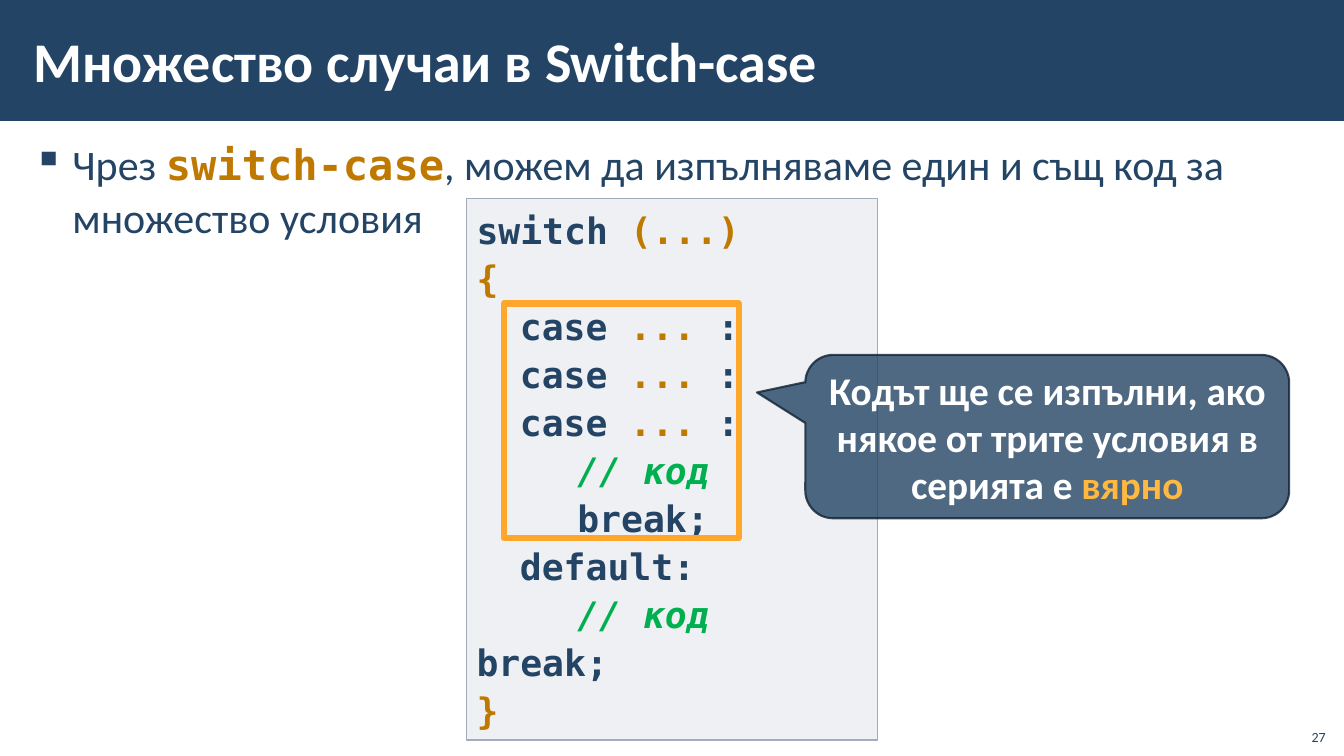
from dataclasses import dataclass
from typing import Optional

from lxml.etree import SubElement
from pptx import Presentation
from pptx.dml.color import RGBColor
from pptx.enum.shapes import MSO_SHAPE as Shape
from pptx.enum.text import MSO_ANCHOR as Anchor, PP_ALIGN as Align
from pptx.oxml.ns import qn
from pptx.util import Inches, Pt

NAVY = RGBColor(0x23, 0x44, 0x65)
DARK_NAVY = RGBColor(0x11, 0x22, 0x33)
WHITE = RGBColor(0xFF, 0xFF, 0xFF)
BROWN = RGBColor(0xBF, 0x78, 0x00)
GREEN = RGBColor(0x00, 0xB0, 0x50)
ORANGE = RGBColor(0xFF, 0xA7, 0x2A)
AMBER = RGBColor(0xFF, 0xB8, 0x40)
CODE_FILL = RGBColor(0xC2, 0xC7, 0xD2)
CODE_LINE = RGBColor(0xA3, 0xAB, 0xBC)
SANS, MONO = "Calibri", "DejaVu Sans Mono"

COLS, ROWS = 64, 36
TAB = 1.0          # inches, one full code indent
HALF_TAB = 0.43    # inches, two monospaced characters


@dataclass
class Box:
    """Place on the grid, in columns and rows."""
    col: float
    row: float
    cols: float
    rows: float


@dataclass
class Run:
    text: str
    color: RGBColor
    font: str = SANS
    bold: bool = True
    italic: bool = False


@dataclass
class Panel:
    box: Box
    kind: Shape = Shape.RECTANGLE
    fill: Optional[RGBColor] = None
    fill_alpha: int = 100
    line: Optional[RGBColor] = None
    line_width: float = 1
    line_alpha: int = 100


@dataclass
class CodeLine:
    runs: list[Run]
    indent: float = 0


prs = Presentation()
prs.slide_width, prs.slide_height = Inches(13.33), Inches(7.5)
s = prs.slides.add_slide(prs.slide_layouts[6])


def place(b: Box) -> tuple[int, int, int, int]:
    cw, rh = prs.slide_width / COLS, prs.slide_height / ROWS
    return int(b.col * cw), int(b.row * rh), int(b.cols * cw), int(b.rows * rh)


def set_alpha(fill_parent, percent: int) -> None:
    color = fill_parent.find(qn("a:solidFill"))[0]
    SubElement(color, qn("a:alpha"), val=str(percent * 1000))


def add_panel(panel: Panel):
    sp = s.shapes.add_shape(panel.kind, *place(panel.box))
    sp.shadow.inherit = False
    if panel.fill is None:
        sp.fill.background()
    else:
        sp.fill.solid()
        sp.fill.fore_color.rgb = panel.fill
        if panel.fill_alpha < 100:
            set_alpha(sp.element.spPr, panel.fill_alpha)
    if panel.line is None:
        sp.line.fill.background()
    else:
        sp.line.color.rgb = panel.line
        sp.line.width = Pt(panel.line_width)
        if panel.line_alpha < 100:
            set_alpha(sp.element.spPr.find(qn("a:ln")), panel.line_alpha)
    return sp


def setup_frame(sp, anchor: Anchor, inset: tuple[float, float] = (0.1, 0.05)):
    tf = sp.text_frame
    tf.word_wrap = True
    tf.vertical_anchor = anchor
    tf.margin_left = tf.margin_right = Inches(inset[0])
    tf.margin_top = tf.margin_bottom = Inches(inset[1])
    return tf


def fill_paragraph(p, runs: list[Run], size: float, align: Align = Align.LEFT) -> None:
    p.alignment = align
    p.font.size = Pt(size)
    for run in runs:
        for i, part in enumerate(run.text.split("\n")):
            if i:
                p.add_line_break()
            r = p.add_run()
            r.text = part
            r.font.name, r.font.size = run.font, Pt(size)
            r.font.bold, r.font.italic = run.bold, run.italic
            r.font.color.rgb = run.color


def add_text(box: Box, runs: list[Run], size: float, anchor: Anchor,
             align: Align = Align.LEFT, inset: tuple[float, float] = (0.1, 0.05)):
    tf = setup_frame(s.shapes.add_textbox(*place(box)), anchor, inset)
    fill_paragraph(tf.paragraphs[0], runs, size, align)
    return tf.paragraphs[0]


def code(text: str, color: RGBColor = NAVY, italic: bool = False) -> Run:
    return Run(text, color, MONO, italic=italic)


# Header band
add_panel(Panel(Box(0, 0, COLS, 5.76), fill=NAVY))

# Bulleted statement
p = add_text(Box(1, 6.29, 62, 29.04), [
    Run("Чрез ", NAVY, bold=False),
    code("switch-case", BROWN),
    Run(", можем да изпълняваме един и същ код за \nмножество условия", NAVY, bold=False),
], 30, Anchor.TOP, inset=(0.12, 0.04))
p.line_spacing = 1.05
p.space_before = p.space_after = Pt(6)
pPr = p._p.get_or_add_pPr()
pPr.set("marL", str(Inches(0.39)))
pPr.set("indent", str(Inches(-0.39)))
bullet = pPr.makeelement(qn("a:buChar"), {"char": "▪"})
pPr.find(qn("a:defRPr")).addprevious(bullet)

# Title
add_text(Box(1, 0.53, 53.9, 4.66), [Run("Множество случаи в Switch-case", WHITE)],
         40, Anchor.MIDDLE, inset=(0.12, 0.04))

# Code listing
case_line = CodeLine([code("case "), code("... ", BROWN), code(":")], HALF_TAB)
comment_line = CodeLine([code("// код", GREEN, italic=True)], TAB)
LISTING = [
    CodeLine([code("switch "), code("(...)", BROWN)]),
    CodeLine([code("{", BROWN)]),
    *[case_line] * 3,
    comment_line,
    CodeLine([code("break;")], TAB),
    CodeLine([code("default:")], HALF_TAB),
    comment_line,
    CodeLine([code("break;")]),
    CodeLine([code("}", BROWN)]),
]
listing = add_panel(Panel(Box(22.22, 9.46, 19.58, 25.78), fill=CODE_FILL, fill_alpha=25,
                          line=CODE_LINE))
tf = setup_frame(listing, Anchor.TOP)
for i, line in enumerate(LISTING):
    p = tf.add_paragraph() if i else tf.paragraphs[0]
    fill_paragraph(p, line.runs, 26)
    p.line_spacing = 1.1
    p._p.get_or_add_pPr().set("marL", str(Inches(line.indent)))

# Frame around the case series
add_panel(Panel(Box(24, 14.45, 11.18, 11.18), line=ORANGE, line_width=4.5))

# Callout
callout = add_panel(Panel(Box(38.35, 16.9, 23.04, 7.78), Shape.ROUNDED_RECTANGULAR_CALLOUT,
                          NAVY, 80, DARK_NAVY, 1.5, 80))
for i, value in enumerate((-0.6, -0.27, 0.17)):
    callout.adjustments[i] = value
tf = setup_frame(callout, Anchor.MIDDLE)
fill_paragraph(tf.paragraphs[0], [
    Run("Кодът ще се изпълни, ако някое от трите условия в серията е ", WHITE),
    Run("вярно", AMBER),
], 28, Align.CENTER)

# Slide number
add_text(Box(61.68, 34.18, 1.92, 1.54), [Run("27", NAVY, bold=False)], 10,
         Anchor.BOTTOM, Align.RIGHT)

prs.save("out.pptx")
